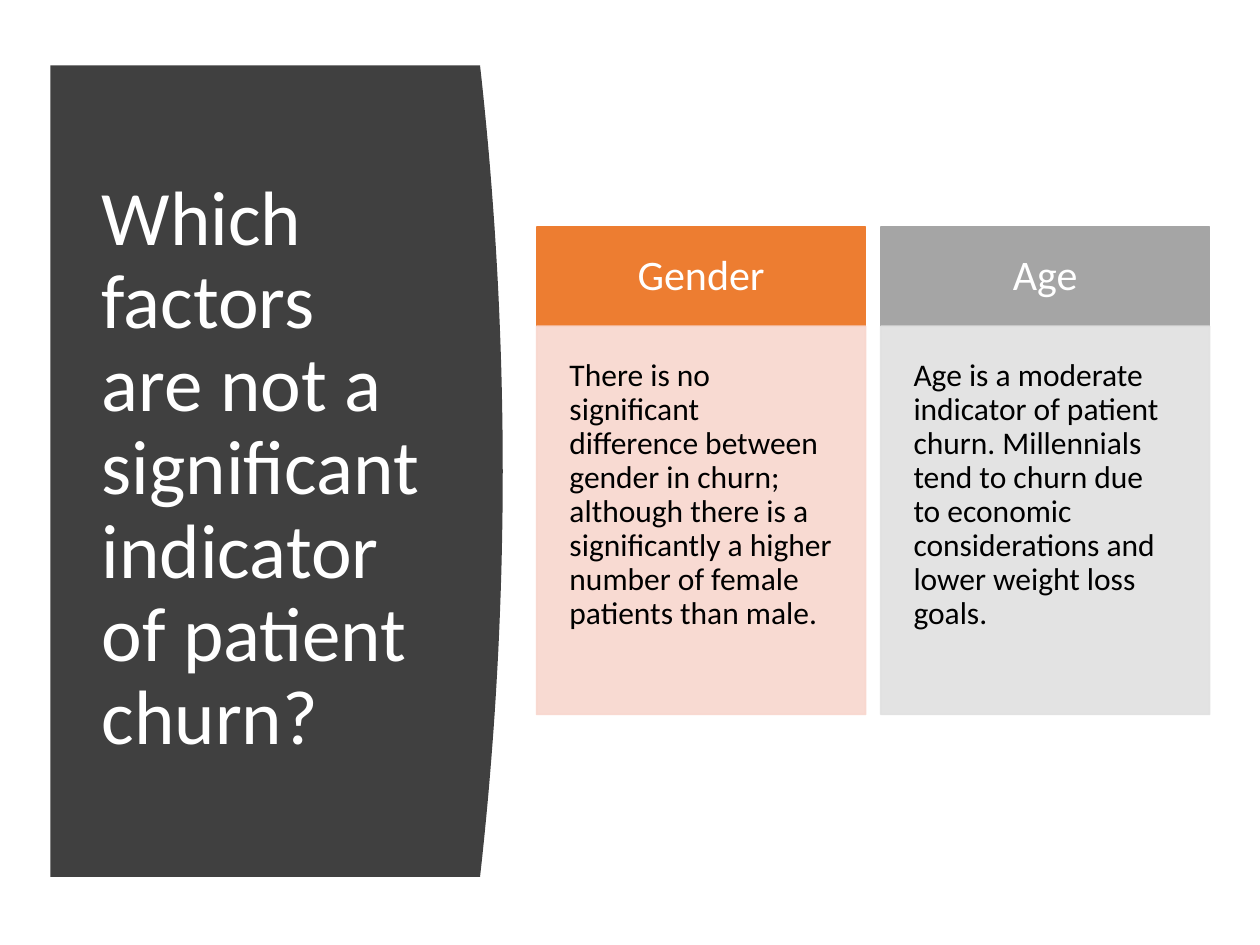
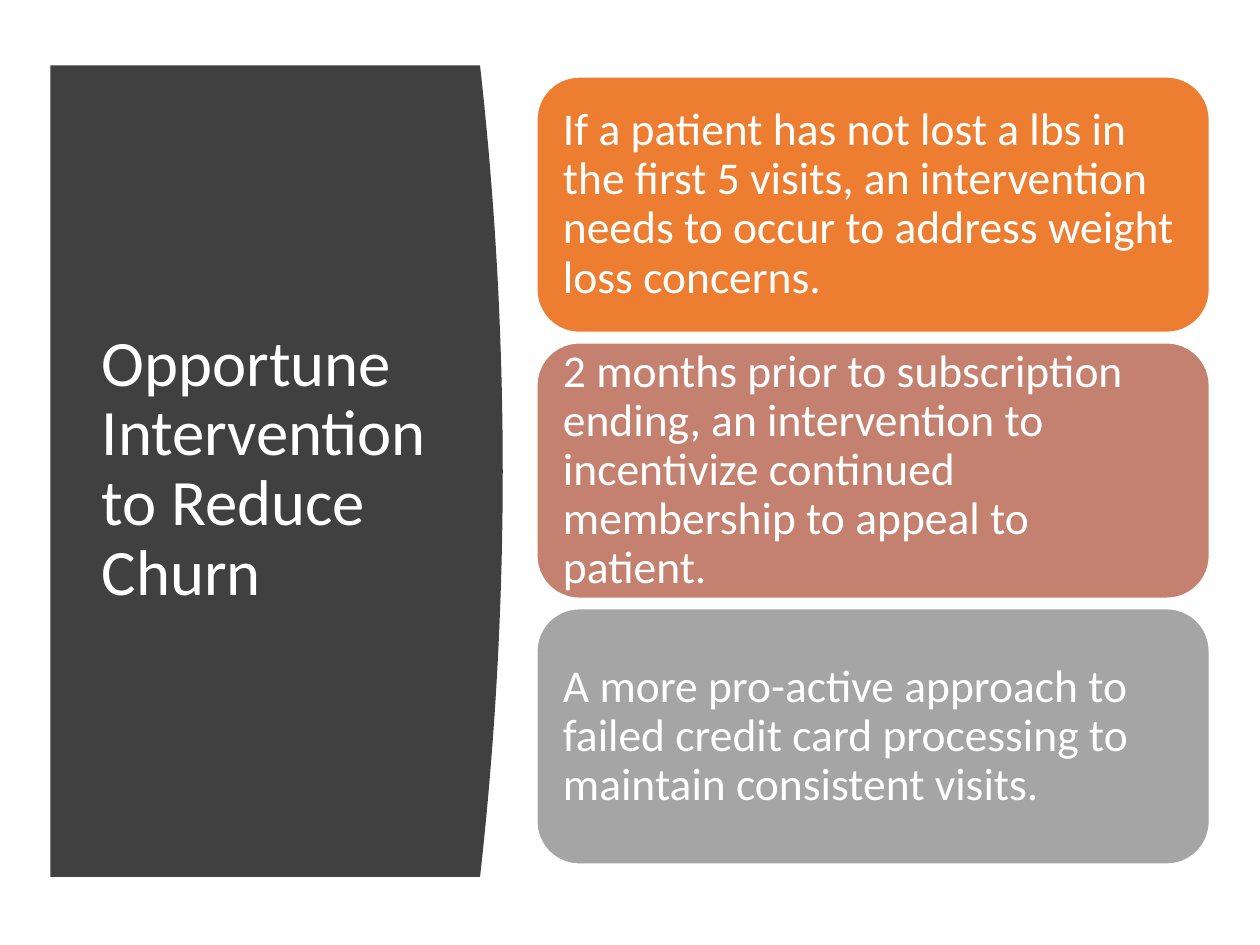
from pptx import Presentation
from pptx.dml.color import RGBColor
from pptx.enum.shapes import MSO_SHAPE
from pptx.enum.text import MSO_ANCHOR, PP_ALIGN
from pptx.oxml.ns import qn
from pptx.util import Inches, Pt
from lxml import etree

RECTANGLE, ROUNDED = MSO_SHAPE.RECTANGLE, MSO_SHAPE.ROUNDED_RECTANGLE
TOP, MIDDLE = MSO_ANCHOR.TOP, MSO_ANCHOR.MIDDLE
LEFT, CENTER = PP_ALIGN.LEFT, PP_ALIGN.CENTER

WHITE = RGBColor(0xFF, 0xFF, 0xFF)
BLACK = RGBColor(0x00, 0x00, 0x00)
CHARCOAL = RGBColor(0x40, 0x40, 0x40)
ORANGE = RGBColor(0xED, 0x7D, 0x31)
PEACH = RGBColor(0xF8, 0xD7, 0xCE)
CLAY = RGBColor(0xC4, 0x81, 0x70)
GRAY = RGBColor(0xA5, 0xA5, 0xA5)
SILVER = RGBColor(0xE1, 0xE1, 0xE1)

FONT = "Calibri"
SLIDE_SIZE = (10, 7.5)

# Title panel, in inches
PANEL_LEFT, PANEL_TOP, PANEL_BOTTOM = 0.4, 0.52, 6.96
PANEL_CORNER, PANEL_BULGE = 3.81, 0.18
CURVE_STEPS = 40
TITLE_BOX = (0.71, 1.11, 2.8, 5.24)

# Content area to the right of the panel, in inches
CONTENT_LEFT, CONTENT_WIDTH = 4.26, 5.34
CARD_TOP, HEADER_HEIGHT, BODY_HEIGHT, CARD_GAP = 1.8, 0.79, 3.08, 0.12
TIPS_TOP, TIPS_HEIGHT, TIP_GAP = 0.61, 6.25, 0.08

FACTORS = [
    ("Gender", ORANGE, PEACH,
     "There is no significant difference between gender in churn; although "
     "there is a significantly a higher number of female patients than male."),
    ("Age", GRAY, SILVER,
     "Age is a moderate indicator of patient churn. Millennials tend to churn "
     "due to economic considerations and lower weight loss goals."),
]
INTERVENTIONS = [
    (ORANGE, "If a patient has not lost a lbs in the first 5 visits, an "
             "intervention needs to occur to address weight loss concerns."),
    (CLAY, "2 months prior to subscription ending, an intervention to "
           "incentivize continued membership to appeal to patient."),
    (GRAY, "A more pro-active approach to failed credit card processing to "
           "maintain consistent visits."),
]


def split(start, length, count, gap):
    """Return the size of equal cells and the start of each one."""
    size = (length - gap * (count - 1)) / count
    return size, [start + i * (size + gap) for i in range(count)]


def write(shape, text, size, color, anchor=MIDDLE, align=LEFT, inset=None):
    frame = shape.text_frame
    frame.word_wrap = True
    frame.vertical_anchor = anchor
    if inset is not None:
        frame.margin_left = frame.margin_right = Inches(inset)
        frame.margin_top = frame.margin_bottom = Inches(inset)
    paragraph = frame.paragraphs[0]
    paragraph.text = text
    paragraph.alignment = align
    paragraph.line_spacing = 0.9
    paragraph.font.name = FONT
    paragraph.font.size = Pt(size)
    paragraph.font.color.rgb = color


def add_block(slide, kind, box, fill, outline):
    block = slide.shapes.add_shape(kind, *map(Inches, box))
    block.shadow.inherit = False
    block.fill.solid()
    block.fill.fore_color.rgb = fill
    block.line.color.rgb = outline
    block.line.width = Pt(1)
    return block


def set_opacity(shape, percent):
    """Make the fill and the outline of a shape partly transparent."""
    for color in shape._element.spPr.iter(qn("a:srgbClr")):
        etree.SubElement(color, qn("a:alpha"), val=str(percent * 1000))


def add_title_panel(slide, title, size):
    """Draw the dark panel, its right edge a shallow parabola, and the title."""
    height = PANEL_BOTTOM - PANEL_TOP
    edge = []
    for step in range(CURVE_STEPS + 1):
        share = step / CURVE_STEPS
        bulge = PANEL_BULGE * (1 - (2 * share - 1) ** 2)
        edge.append((Inches(PANEL_CORNER + bulge),
                     Inches(PANEL_TOP + share * height)))
    outline = slide.shapes.build_freeform(Inches(PANEL_LEFT), Inches(PANEL_TOP))
    outline.add_line_segments(edge + [(Inches(PANEL_LEFT), Inches(PANEL_BOTTOM))])
    panel = outline.convert_to_shape()
    panel.shadow.inherit = False
    panel.fill.solid()
    panel.fill.fore_color.rgb = CHARCOAL
    panel.line.fill.background()
    write(slide.shapes.add_textbox(*map(Inches, TITLE_BOX)), title, size, WHITE)


def add_factor_cards(slide):
    width, lefts = split(CONTENT_LEFT, CONTENT_WIDTH, len(FACTORS), CARD_GAP)
    for left, (name, strong, pale, finding) in zip(lefts, FACTORS):
        header = add_block(slide, RECTANGLE,
                           (left, CARD_TOP, width, HEADER_HEIGHT), strong, strong)
        write(header, name, 24, WHITE, align=CENTER, inset=0.21)
        body = add_block(slide, RECTANGLE,
                         (left, CARD_TOP + HEADER_HEIGHT, width, BODY_HEIGHT),
                         pale, pale)
        set_opacity(body, 90)
        write(body, finding, 18, BLACK, anchor=TOP, inset=0.26)


def add_interventions(slide):
    height, tops = split(TIPS_TOP, TIPS_HEIGHT, len(INTERVENTIONS), TIP_GAP)
    for top, (color, advice) in zip(tops, INTERVENTIONS):
        tip = add_block(slide, ROUNDED,
                        (CONTENT_LEFT, top, CONTENT_WIDTH, height), color, WHITE)
        write(tip, advice, 26, WHITE, inset=0.11)


def main():
    deck = Presentation()
    deck.slide_width, deck.slide_height = map(Inches, SLIDE_SIZE)
    blank = deck.slide_layouts[6]

    factors = deck.slides.add_slide(blank)
    add_title_panel(factors, "Which factors are not a significant indicator "
                             "of patient churn?", 44)
    add_factor_cards(factors)

    interventions = deck.slides.add_slide(blank)
    add_title_panel(interventions, "Opportune Intervention to Reduce Churn", 37)
    add_interventions(interventions)

    deck.save("out.pptx")


if __name__ == "__main__":
    main()
